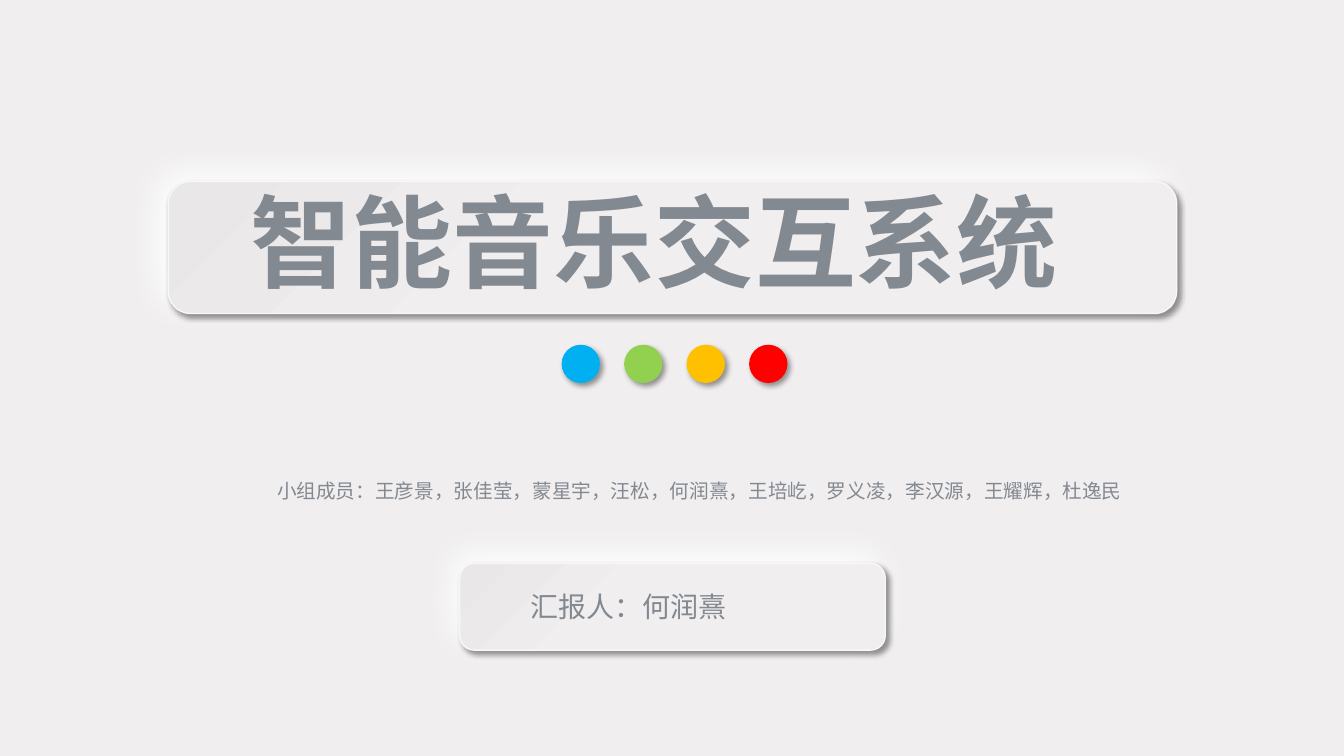
"""Title slide of the smart music interaction system report."""
from typing import NamedTuple

from lxml import etree
from pptx import Presentation
from pptx.dml.color import RGBColor
from pptx.enum import shapes, text
from pptx.oxml import ns
from pptx.util import Emu, Inches, Pt

FONT = "Noto Sans CJK SC"
BACKGROUND = RGBColor(0xF0, 0xEE, 0xEF)
PANEL_SHADE = RGBColor(0xE9, 0xE7, 0xE8)
PANEL_BASE = RGBColor(0xF2, 0xF2, 0xF2)
PANEL_EDGE = RGBColor(0xF8, 0xF8, 0xF8)
GREY = RGBColor(0x83, 0x89, 0x91)
WHITE = RGBColor(0xFF, 0xFF, 0xFF)
BLACK = RGBColor(0x00, 0x00, 0x00)
BLUE = RGBColor(0x00, 0xB0, 0xF0)
GREEN = RGBColor(0x92, 0xD0, 0x50)
AMBER = RGBColor(0xFF, 0xC0, 0x00)
RED = RGBColor(0xFF, 0x00, 0x00)


class Box(NamedTuple):
    """Position and size in inches."""
    left: float
    top: float
    width: float
    height: float

    def lengths(self) -> list[Emu]:
        return [Inches(value) for value in self]


class Shadow(NamedTuple):
    """Outer shadow: opacity in percent, lengths in points, angle in degrees."""
    color: RGBColor
    opacity: int
    blur: int
    distance: int
    angle: int


GLOW = Shadow(WHITE, 100, 24, 10, 225)
DROP = Shadow(BLACK, 40, 4, 3, 45)


def add_raised(slide, kind, box: Box, color: RGBColor, shadow: Shadow):
    """Add a borderless filled shape with an outer shadow."""
    raised = slide.shapes.add_shape(kind, *box.lengths())
    raised.fill.solid()
    raised.fill.fore_color.rgb = color
    raised.line.fill.background()
    raised.shadow.inherit = False
    effects = raised.element.spPr.find(ns.qn("a:effectLst"))
    outer = etree.SubElement(
        effects, ns.qn("a:outerShdw"), blurRad=str(Pt(shadow.blur)),
        dist=str(Pt(shadow.distance)), dir=str(shadow.angle * 60000),
        algn="ctr", rotWithShape="0")
    tint = etree.SubElement(outer, ns.qn("a:srgbClr"), val=str(shadow.color))
    etree.SubElement(tint, ns.qn("a:alpha"), val=str(shadow.opacity * 1000))
    return raised


def add_panel(slide, box: Box, glow_shift: float) -> None:
    """Add a rounded panel lit from the upper left."""
    kind = shapes.MSO_SHAPE.ROUNDED_RECTANGLE
    glow_box = box._replace(left=box.left + glow_shift)
    add_raised(slide, kind, glow_box, PANEL_BASE, GLOW)
    face = add_raised(slide, kind, box, BACKGROUND, DROP)
    face.fill.gradient()
    face.fill.gradient_angle = 135
    stops = ((0.59, BACKGROUND), (1, PANEL_SHADE))
    for stop, (position, color) in zip(face.fill.gradient_stops, stops):
        stop.position = position
        stop.color.rgb = color
    face.line.color.rgb = PANEL_EDGE
    face.line.width = Pt(1)


def add_text(slide, words: str, box: Box, *, size: int, bold: bool = False,
             align=text.PP_ALIGN.LEFT, spacing: float = 1.0) -> None:
    """Add one line of grey text."""
    frame = slide.shapes.add_textbox(*box.lengths()).text_frame
    frame.word_wrap = True
    frame.auto_size = text.MSO_AUTO_SIZE.SHAPE_TO_FIT_TEXT
    paragraph = frame.paragraphs[0]
    paragraph.alignment = align
    paragraph.line_spacing = spacing
    run = paragraph.add_run()
    run.text = words
    run.font.size = Pt(size)
    run.font.bold = bold
    run.font.color.rgb = GREY
    run.font.name = FONT
    etree.SubElement(run.font._element, ns.qn("a:ea"), typeface=FONT)


def main() -> None:
    """Build and save the slide."""
    deck = Presentation()
    deck.slide_width, deck.slide_height = Inches(13.33), Inches(7.5)
    slide = deck.slides.add_slide(deck.slide_layouts[6])
    slide.background.fill.solid()
    slide.background.fill.fore_color.rgb = BACKGROUND

    add_text(slide, "小组成员：王彦景，张佳莹，蒙星宇，汪松，何润熹，王培屹，罗义凌，李汉源，王耀辉，杜逸民",
             Box(2.65, 4.63, 8.7, 0.41), size=14, spacing=1.3)
    add_panel(slide, Box(4.56, 5.59, 4.22, 0.86), glow_shift=0.03)
    add_text(slide, "汇报人：何润熹", Box(5.16, 5.8, 3.07, 0.44), size=20,
             align=text.PP_ALIGN.JUSTIFY)
    add_panel(slide, Box(1.67, 1.8, 10, 1.31), glow_shift=-0.02)
    add_text(slide, "智能音乐交互系统", Box(2.39, 1.73, 8.56, 1.31), size=72, bold=True)
    for index, color in enumerate((BLUE, GREEN, AMBER, RED)):
        dot = Box(5.57 + index * 0.62, 3.42, 0.38, 0.38)
        add_raised(slide, shapes.MSO_SHAPE.OVAL, dot, color, DROP)

    deck.save("out.pptx")


main()
